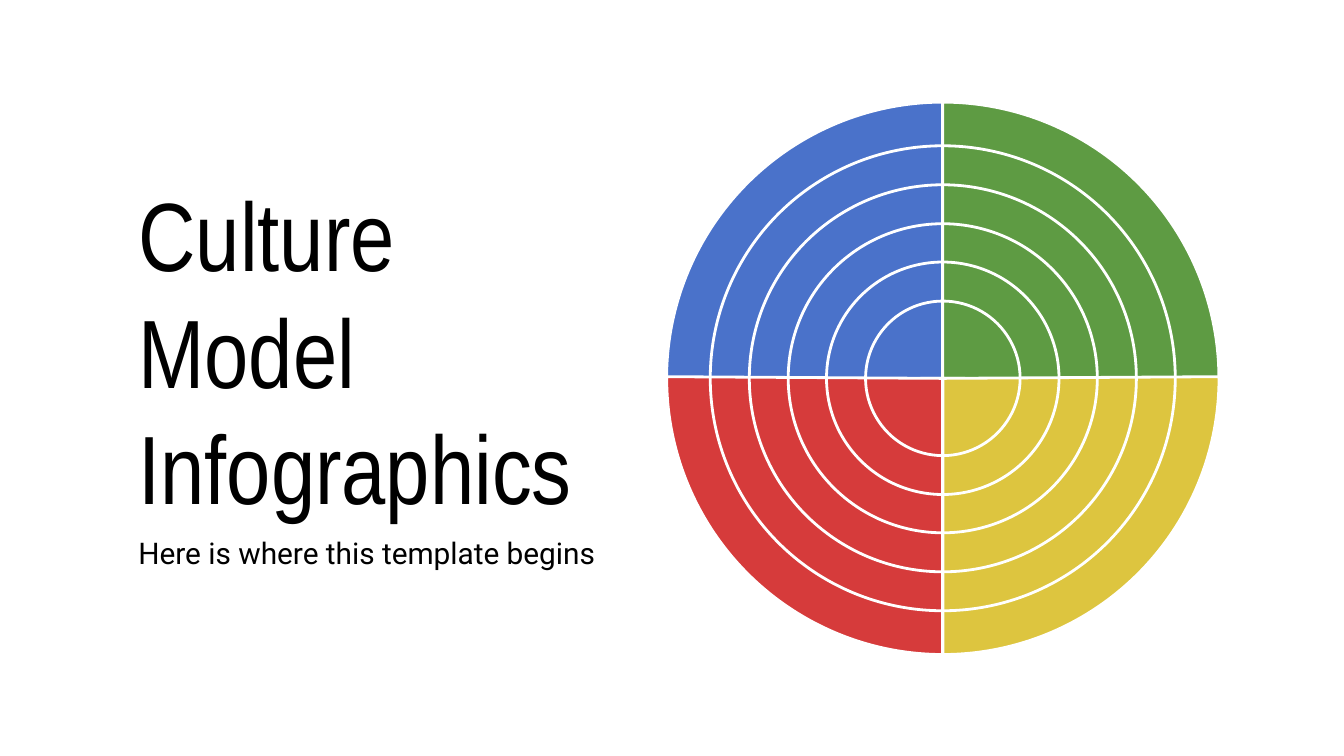
import pptx
import pptx.dml.color
import pptx.enum.shapes
import pptx.enum.text
import pptx.oxml.ns
import pptx.util
from lxml import etree

EMU_PER_PX = 4572  # 200 px to the inch
COLORS = {
    "text": "000000",
    "line": "FFFFFF",
    "background": "FFFFFF",
    "blue": "4A72CA",
    "green": "5E9B43",
    "red": "D63B3B",
    "yellow": "DDC53F",
}
CENTER_X, CENTER_Y = 1403, 563
WHEEL_RADIUS = 411
OUTER_RING_RADIUS = 346
RING_STEPS = range(2, 7)
# colour, rotation, mirrored
QUADRANTS = [
    ("blue", 0, False),
    ("green", 0, True),
    ("red", 180, True),
    ("yellow", 180, False),
]


def px(length):
    return pptx.util.Emu(length * EMU_PER_PX)


def color(name):
    return pptx.dml.color.RGBColor.from_string(COLORS[name])


def fill_placeholder(shape, box, text, font_name, size, anchor):
    shape.left, shape.top, shape.width, shape.height = map(px, box)
    frame = shape.text_frame
    frame.word_wrap = True
    frame.auto_size = pptx.enum.text.MSO_AUTO_SIZE.NONE
    frame.vertical_anchor = anchor
    frame.margin_left = frame.margin_right = px(20)
    frame.margin_top = frame.margin_bottom = px(20)
    paragraph = frame.paragraphs[0]
    paragraph.alignment = pptx.enum.text.PP_ALIGN.LEFT
    paragraph.space_before = pptx.util.Pt(0)
    run = paragraph.add_run()
    run.text = text
    run.font.name = font_name
    run.font.size = pptx.util.Pt(size)
    run.font.color.rgb = color("text")


def style_line(shape):
    shape.line.color.rgb = color("line")
    shape.line.width = pptx.util.Pt(1.5)


def add_round_shape(group, kind, radius):
    """Add a shape centred on the wheel."""
    shape = group.shapes.add_shape(
        kind, px(CENTER_X - radius), px(CENTER_Y - radius), px(2 * radius), px(2 * radius)
    )
    shape.shadow.inherit = False
    style_line(shape)
    return shape


def add_quadrant(group, color_name, rotation, mirrored):
    shape = add_round_shape(group, pptx.enum.shapes.MSO_SHAPE.PIE, WHEEL_RADIUS)
    shape.adjustments[0] = 107.79
    shape.adjustments[1] = 162
    shape.fill.solid()
    shape.fill.fore_color.rgb = color(color_name)
    shape.rotation = rotation
    if mirrored:
        shape.element.spPr.xfrm.set("flipH", "1")


def add_ring(group, radius):
    shape = add_round_shape(group, pptx.enum.shapes.MSO_SHAPE.OVAL, radius)
    shape.fill.background()


def add_vertical_divider(group):
    connector = group.shapes.add_connector(
        pptx.enum.shapes.MSO_CONNECTOR.STRAIGHT,
        px(CENTER_X), px(CENTER_Y - WHEEL_RADIUS),
        px(CENTER_X), px(CENTER_Y + WHEEL_RADIUS),
    )
    style_line(connector)
    etree.SubElement(connector.element.spPr, pptx.oxml.ns.qn("a:effectLst"))


def add_wheel(slide):
    group = slide.shapes.add_group_shape()
    for quadrant in QUADRANTS:
        add_quadrant(group, *quadrant)
    add_vertical_divider(group)
    for step in RING_STEPS:
        add_ring(group, OUTER_RING_RADIUS * step // RING_STEPS[-1])


def main():
    presentation = pptx.Presentation()
    presentation.slide_width = px(2000)
    presentation.slide_height = px(1125)
    slide = presentation.slides.add_slide(presentation.slide_layouts[0])
    slide.background.fill.solid()
    slide.background.fill.fore_color.rgb = color("background")

    anchors = pptx.enum.text.MSO_ANCHOR
    fill_placeholder(slide.shapes.title, (186, 262, 772, 516),
                     "Culture Model Infographics", "Arial Narrow", 52, anchors.MIDDLE)
    fill_placeholder(slide.placeholders[1], (186, 776, 772, 86),
                     "Here is where this template begins", "Roboto", 16, anchors.TOP)
    add_wheel(slide)
    presentation.save("out.pptx")


if __name__ == "__main__":
    main()
